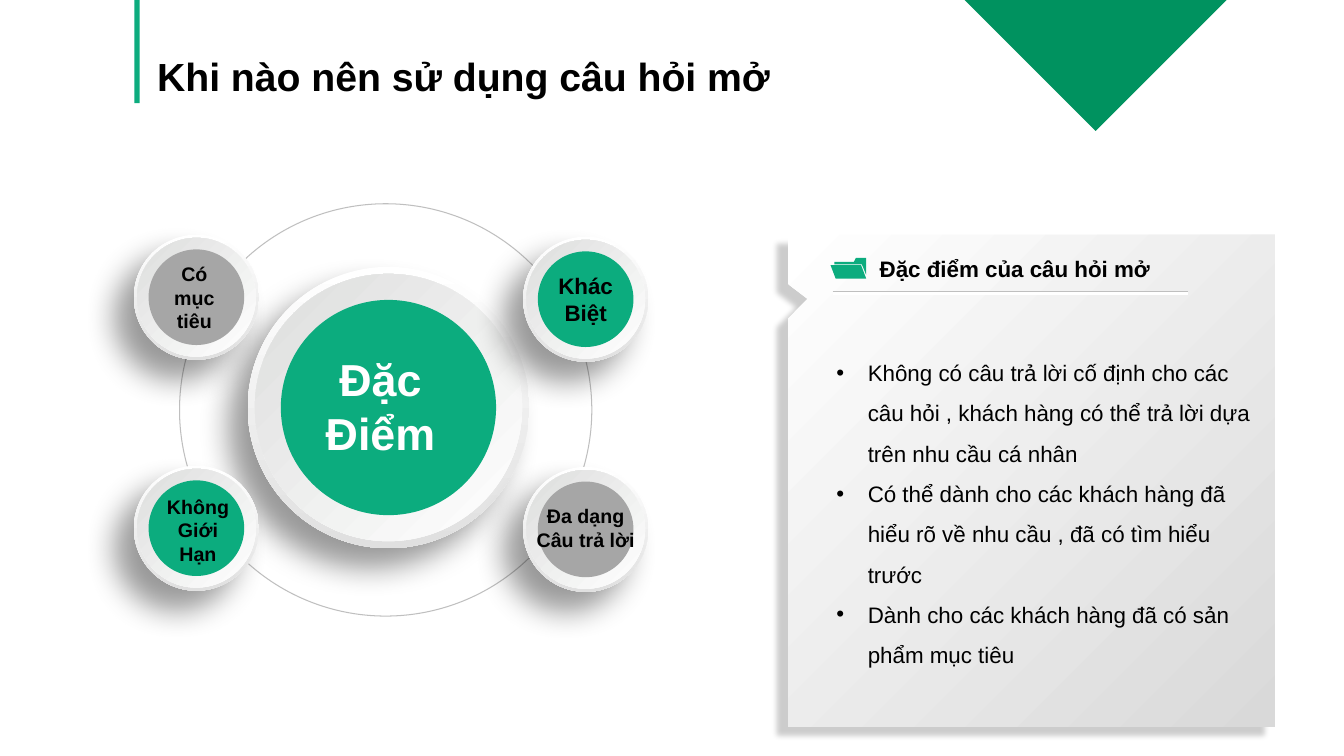
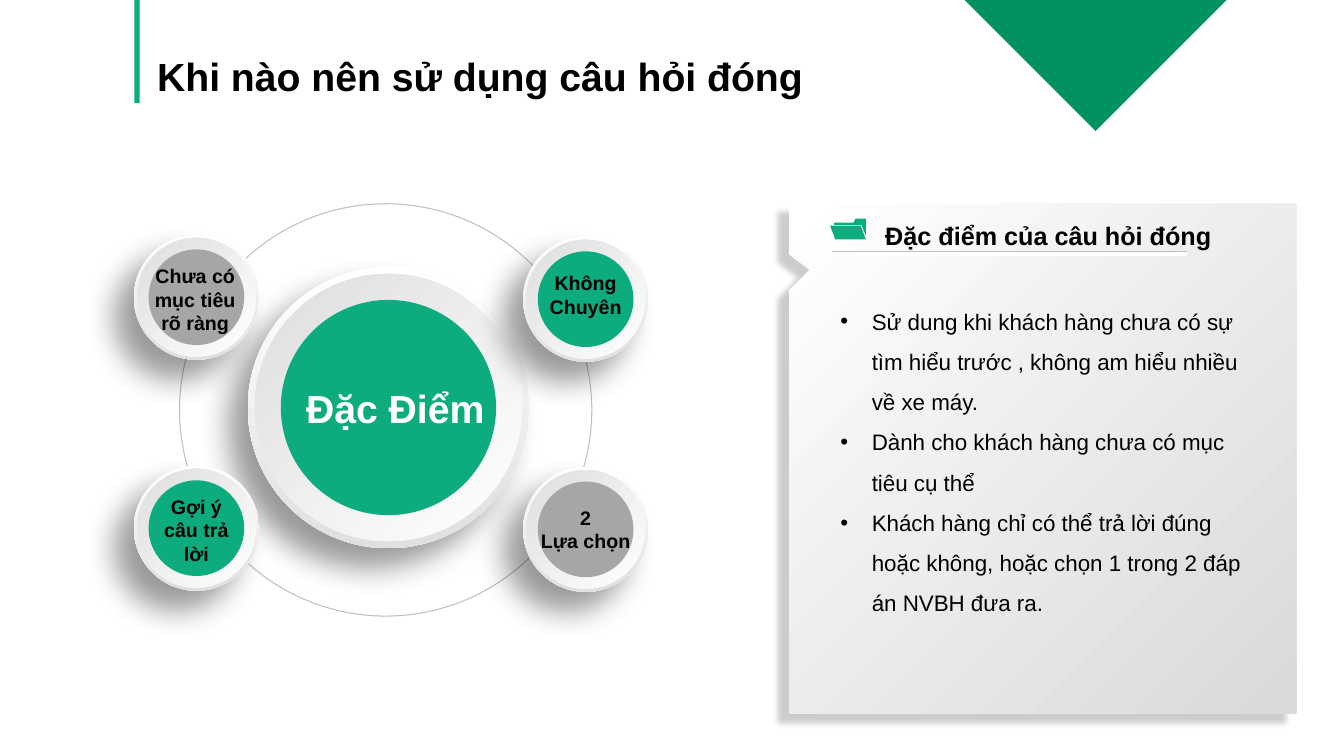
from pptx import Presentation
from pptx.dml.color import RGBColor
from pptx.enum.shapes import MSO_CONNECTOR, MSO_SHAPE
from pptx.enum.text import MSO_ANCHOR, MSO_AUTO_SIZE, PP_ALIGN
from pptx.oxml.ns import qn
from pptx.util import Cm, Pt
from lxml.etree import SubElement

FONT = "Arial"
GREEN, DARK_GREEN, GREY = "0CAC7E", "00925F", "A6A6A6"
BLACK, WHITE, HAIRLINE = "000000", "FFFFFF", "BFBFBF"

HUB_CENTRE, HUB_SIZE = (9.79, 10.27), 7.09
ORBIT_CENTRE, ORBIT_SIZE = (9.72, 10.33), 10.39
SATELLITE_SIZE = 3.15
# Centre and disc colour of each satellite
SATELLITES = [
    ((4.95, 7.49), GREY),
    ((14.76, 7.54), GREEN),
    ((4.95, 13.31), GREEN),
    ((14.76, 13.34), GREY),
]

FOLDER_FRONT = [(0, 0.18), (0.77, 0.18), (0.9, 0.52), (0.13, 0.52)]
FOLDER_BACK = [(0.64, 0), (0.9, 0), (0.9, 0.43), (0.79, 0.16),
               (0.1, 0.16), (0.1, 0.1), (0.59, 0.1)]

# Each label: lines, box width, text size, (dx, dy) from the centre of its disc
SLIDES = [
    {
        "title": "Khi nào nên sử dụng câu hỏi mở",
        "hub": (["Đặc Điểm"], 4.75, 32, (-0.2, -0.05)),
        "satellites": [
            (["Có mục tiêu"], 2.24, 14, (-0.05, 0)),
            (["Khác Biệt"], 2.46, 16, (0, 0)),
            (["Không Giới Hạn"], 2.31, 14, (0.04, 0.04)),
            (["Đa dạng", "Câu trả lời"], 4.75, 14, (0, -0.04)),
        ],
        "panel": {
            "box": (19.86, 5.92, 12.27, 12.4),
            "heading": "Đặc điểm của câu hỏi mở",
            "heading_size": 16,
            "heading_at": (1.07, 0.58),
            "heading_shift": (0.99, 0),
            "bullets_box": (0.97, 2.67, 11.33, 8.33),
            "bullets": [
                "Không có câu trả lời cố định cho các câu hỏi , khách hàng "
                "có thể trả lời dựa trên nhu cầu cá nhân",
                "Có thể dành cho các khách hàng đã hiểu rõ về nhu cầu , "
                "đã có tìm hiểu trước",
                "Dành cho các khách hàng đã có sản phẩm mục tiêu",
            ],
        },
    },
    {
        "title": "Khi nào nên sử dụng câu hỏi đóng",
        "hub": (["Đặc Điểm"], 6.91, 28, (0.17, 0)),
        "satellites": [
            (["Chưa có mục tiêu rõ ràng"], 2.79, 14, (-0.03, 0.06)),
            (["Không", "Chuyên"], 3, 14, (0, -0.11)),
            (["Gợi ý câu trả lời"], 2.41, 14, (0, 0.04)),
            (["2", "Lựa chọn"], 3.53, 14, (0, 0)),
        ],
        "panel": {
            "box": (19.89, 5.13, 12.78, 12.85),
            "heading": "Đặc điểm của câu hỏi đóng",
            "heading_size": 18,
            "heading_at": (1.03, 0.38),
            "heading_shift": (1.14, 0.16),
            "bullets_box": (1.04, 2.16, 11.02, 8.33),
            "bullets": [
                "Sử dung khi khách hàng chưa có sự tìm hiểu trước , "
                "không am hiểu nhiều về xe máy.",
                "Dành cho khách hàng chưa có mục tiêu cụ thể",
                "Khách hàng chỉ có thể trả lời đúng hoặc không, "
                "hoặc chọn 1 trong 2 đáp án NVBH đưa ra.",
            ],
        },
    },
]


def color(value):
    return RGBColor.from_string(value)


def paint(shape, fill=None, line=None):
    shape.shadow.inherit = False
    if fill:
        shape.fill.solid()
        shape.fill.fore_color.rgb = color(fill)
    else:
        shape.fill.background()
    if line:
        shape.line.color.rgb = color(line)
        shape.line.width = Pt(0.75)
    else:
        shape.line.fill.background()


def paint_gradient(shape, end, clockwise_angle):
    """Fill from white to the end colour."""
    paint(shape)
    shape.fill.gradient()
    shape.fill.gradient_angle = 360 - clockwise_angle
    for stop, shade in zip(shape.fill.gradient_stops, (WHITE, end)):
        stop.color.rgb = color(shade)


def cast_shadow(shape, opacity, blur, distance, angle):
    effects = shape.element.spPr.find(qn("a:effectLst"))
    shadow = SubElement(effects, qn("a:outerShdw"), blurRad=str(Pt(blur)),
                        dist=str(Pt(distance)), dir=str(angle * 60000),
                        algn="ctr", rotWithShape="0")
    tone = SubElement(shadow, qn("a:srgbClr"), val=BLACK)
    SubElement(tone, qn("a:alpha"), val=str(opacity * 1000))


def format_runs(paragraph, size, ink=BLACK, bold=True):
    for run in paragraph.runs:
        run.font.name = FONT
        run.font.size = Pt(size)
        run.font.bold = bold
        run.font.color.rgb = color(ink)


def add_text(shapes, box, lines, size, ink=BLACK, bold=True,
             align=PP_ALIGN.LEFT, anchor=MSO_ANCHOR.MIDDLE):
    frame = shapes.add_textbox(*map(Cm, box)).text_frame
    frame.word_wrap = True
    frame.vertical_anchor = anchor
    frame.text = "\n".join(lines)
    for paragraph in frame.paragraphs:
        paragraph.alignment = align
        format_runs(paragraph, size, ink, bold)
    return frame


def add_circle(shapes, centre, size):
    x, y = centre
    return shapes.add_shape(MSO_SHAPE.OVAL, Cm(x - size / 2), Cm(y - size / 2),
                            Cm(size), Cm(size))


def add_outline(shapes, origin, *contours):
    """Draw closed contours, given in cm from the origin, as one shape."""
    left, top = origin
    placed = [[(Cm(left + x), Cm(top + y)) for x, y in contour]
              for contour in contours]
    builder = shapes.build_freeform(*placed[0][0])
    for index, points in enumerate(placed):
        if index:
            builder.move_to(*points[0])
        builder.add_line_segments(points[1:], close=True)
    return builder.convert_to_shape()


def add_corner_to_layout(layout, slide):
    """Draw the green corner once and hand it to the shared layout."""
    corner = slide.shapes.add_shape(MSO_SHAPE.ISOSCELES_TRIANGLE, Cm(24.31), Cm(0),
                                    Cm(6.6), Cm(3.3))
    corner.rotation = 180
    paint(corner, DARK_GREEN)
    corner.element.nvSpPr.cNvPr.set("id", "20")
    layout.shapes.element.append(corner.element)


def add_header(slide, text):
    bar = slide.shapes.add_shape(MSO_SHAPE.RECTANGLE, Cm(3.39), Cm(0),
                                 Cm(0.13), Cm(2.6))
    paint(bar, GREEN)
    title = slide.shapes.title
    title.left, title.top, title.width, title.height = map(Cm, (3.96, 1.07, 20, 1.32))
    frame = title.text_frame
    frame.margin_left = frame.margin_top = frame.margin_right = frame.margin_bottom = 0
    frame.vertical_anchor = MSO_ANCHOR.TOP
    frame.auto_size = MSO_AUTO_SIZE.NONE
    frame.text = text
    paragraph = frame.paragraphs[0]
    paragraph.alignment = PP_ALIGN.LEFT
    paragraph.line_spacing = 1.2
    format_runs(paragraph, 28)


def add_button(shapes, centre, size, disc_color, label, ink=BLACK):
    """Raised round button: shadowed rim, bevel, coloured disc and label."""
    rim = add_circle(shapes, centre, size)
    paint_gradient(rim, "E0E0E0", 90)
    cast_shadow(rim, 40, 22, 20, 135)
    paint_gradient(add_circle(shapes, centre, size * 0.95), "DDDEDD", 225)
    paint(add_circle(shapes, centre, size * 0.765), disc_color)
    lines, width, text_size, (dx, dy) = label
    box = (centre[0] + dx - width / 2, centre[1] + dy - size / 2, width, size)
    add_text(shapes, box, lines, text_size, ink, align=PP_ALIGN.CENTER)


def add_orbit_diagram(slide, hub, satellites):
    add_button(slide.shapes.add_group_shape().shapes, HUB_CENTRE, HUB_SIZE,
               GREEN, hub, WHITE)
    paint(add_circle(slide.shapes, ORBIT_CENTRE, ORBIT_SIZE), line=HAIRLINE)
    for (centre, disc_color), label in zip(SATELLITES, satellites):
        add_button(slide.shapes.add_group_shape().shapes, centre, SATELLITE_SIZE,
                   disc_color, label)


def add_rule(shapes, left, top, width, ink):
    rule = shapes.add_connector(MSO_CONNECTOR.STRAIGHT, Cm(left), Cm(top),
                                Cm(left + width), Cm(top))
    rule.line.color.rgb = color(ink)
    rule.line.width = Pt(2.25)
    SubElement(rule.element.spPr, qn("a:effectLst"))


def add_panel_heading(shapes, left, top, text, size, shift):
    folder = add_outline(shapes, (left, top), FOLDER_FRONT, FOLDER_BACK)
    paint(folder, GREEN)
    dx, dy = shift
    add_text(shapes, (left + dx, top + dy - 0.24, 9.6, 1), [text], size)
    add_rule(shapes, left + 0.05, top + 0.86, 8.95, HAIRLINE)
    add_rule(shapes, left + 0.05, top + 0.89, 8.95, WHITE)


def add_bullets(shapes, box, items):
    frame = add_text(shapes, box, items, 16, bold=False, anchor=MSO_ANCHOR.TOP)
    for paragraph in frame.paragraphs:
        properties = paragraph._p.get_or_add_pPr()
        properties.set("marL", str(Cm(0.79)))
        properties.set("indent", str(-Cm(0.79)))
        SubElement(properties, qn("a:buFont"), typeface=FONT)
        SubElement(properties, qn("a:buChar"), char="•")
        paragraph.line_spacing = 1.5


def add_panel(slide, box, heading, heading_size, heading_at, heading_shift,
              bullets_box, bullets):
    left, top, width, height = box
    sheet = add_outline(slide.shapes, (left, top), [
        (0, 0), (width, 0), (width, height), (0, height),
        (0, height * 0.17), (width * 0.04, height * 0.13), (0, height * 0.1)])
    paint_gradient(sheet, "D9D9D9", 45)
    cast_shadow(sheet, 20, 4, 10, 140)
    add_panel_heading(slide.shapes.add_group_shape().shapes, left + heading_at[0],
                      top + heading_at[1], heading, heading_size, heading_shift)
    dx, dy, text_width, text_height = bullets_box
    add_bullets(slide.shapes, (left + dx, top + dy, text_width, text_height), bullets)


def main():
    presentation = Presentation()
    presentation.slide_width, presentation.slide_height = Cm(33.87), Cm(19.05)
    layout = presentation.slide_layouts[5]
    for index, content in enumerate(SLIDES):
        slide = presentation.slides.add_slide(layout)
        if index == 0:
            add_corner_to_layout(layout, slide)
        add_header(slide, content["title"])
        add_orbit_diagram(slide, content["hub"], content["satellites"])
        add_panel(slide, **content["panel"])
    presentation.save("out.pptx")


if __name__ == "__main__":
    main()
